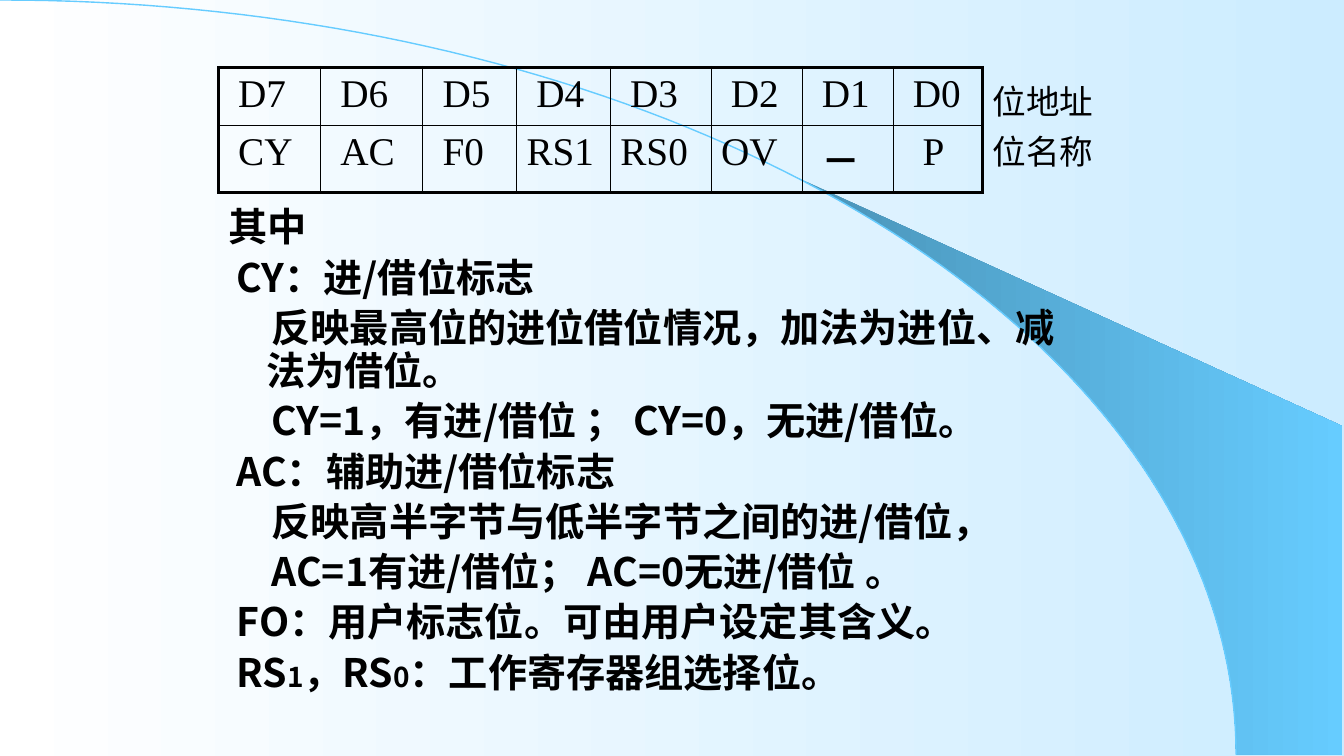
import math
from dataclasses import dataclass

from lxml import etree
from pptx import Presentation
from pptx.dml.color import RGBColor
from pptx.oxml.ns import qn
from pptx.util import Pt


@dataclass(frozen=True)
class Theme:
    ink: RGBColor = RGBColor(0x00, 0x00, 0x00)
    white: RGBColor = RGBColor(0xFF, 0xFF, 0xFF)
    pale: RGBColor = RGBColor(0xCC, 0xEC, 0xFF)
    sky: RGBColor = RGBColor(0x66, 0xCC, 0xFF)
    steel: RGBColor = RGBColor(0x49, 0x92, 0xB6)
    serif: str = "Times New Roman"
    sans: str = "Noto Sans CJK SC"
    body: float = 28
    label: float = 24
    subscript: float = 20
    thin: float = 1
    thick: float = 2.25


THEME = Theme()
SLIDE_W, SLIDE_H = 960, 540

COLUMN_WIDTHS = (73, 73, 67, 67, 72, 65, 65, 64)
ROW_HEIGHTS = (41.5, 48)
SPACE = 7  # one leading indent step inside a table cell
# Each cell: text, number of indent steps
REGISTER_BITS = (
    [(f"D{bit}", 1) for bit in range(7, -1, -1)],
    [("CY", 1), ("AC", 1), ("F0", 1), ("RS1", 0), ("RS0", 0), ("OV", 0), ("－", 1), ("P", 2)],
)
ROW_LABELS = ("位地址", "位名称")

# First-line offset of each text level, and the left edge of wrapped lines
HANGING = 27
HEADING, FLAG, DETAIL = 0, 6, 31
FLAG_NOTES = (
    (HEADING, ["其中"]),
    (FLAG, ["CY：进/借位标志"]),
    (DETAIL, ["反映最高位的进位借位情况，加法为进位、减法为借位。"]),
    (DETAIL, ["CY=1，有进/借位 ； CY=0，无进/借位。"]),
    (FLAG, ["AC：辅助进/借位标志"]),
    (DETAIL, ["反映高半字节与低半字节之间的进/借位，"]),
    (DETAIL, ["AC=1有进/借位； AC=0无进/借位 。"]),
    (FLAG, ["FO：用户标志位。可由用户设定其含义。"]),
    (FLAG, ["RS", "1", "，RS", "0", "：工作寄存器组选择位。"]),
)


def style_run(run, size, latin, bold=False):
    run.font.size = Pt(size)
    run.font.bold = bold
    run.font.color.rgb = THEME.ink
    run.font.name = latin
    east_asian = etree.SubElement(run.font._element, qn("a:ea"))
    east_asian.set("typeface", THEME.sans)


def fill_gradient(fill, start, end):
    fill.gradient()
    fill.gradient_angle = 0
    for stop, color in zip(fill.gradient_stops, (start, end)):
        stop.color.rgb = color


def add_textbox(slide, left, top, width, height):
    frame = slide.shapes.add_textbox(Pt(left), Pt(top), Pt(width), Pt(height)).text_frame
    frame.word_wrap = True
    return frame


def draw_outline(slide, points, close):
    points = [(Pt(x), Pt(y)) for x, y in points]
    builder = slide.shapes.build_freeform(*points[0], scale=1.0)
    builder.add_line_segments(points[1:], close=close)
    outline = builder.convert_to_shape()
    outline.shadow.inherit = False
    return outline


def add_backdrop(slide, left, top, width, height):
    """Pale gradient, a quarter-ellipse line and the ribbon that follows it."""
    fill_gradient(slide.background.fill, THEME.white, THEME.pale)
    radius_x, radius_y = width - 77, height - 1

    def arc(start, steps):
        angles = [start + (math.pi / 2 - start) * i / steps for i in range(steps + 1)]
        return [(left + radius_x * math.sin(a), top + radius_y * (1 - math.cos(a)))
                for a in angles]

    # Ribbon
    right, bottom = left + width - 1, top + height - 1
    ribbon = draw_outline(slide, arc(0.696, 30) + [(right, bottom), (right, top + 304.5)], True)
    fill_gradient(ribbon.fill, THEME.steel, THEME.sky)
    ribbon.line.fill.background()

    # Arc line
    curve = draw_outline(slide, arc(0, 80), False)
    curve.fill.background()
    curve.line.color.rgb = THEME.sky
    curve.line.width = Pt(THEME.thin)


def add_cell_borders(cell, widths):
    properties = cell._tc.get_or_add_tcPr()
    for side, width in zip("LRTB", widths):
        border = etree.SubElement(properties, qn(f"a:ln{side}"), w=str(Pt(width)))
        solid = etree.SubElement(border, qn("a:solidFill"))
        etree.SubElement(solid, qn("a:srgbClr"), val=str(THEME.ink))


def add_register_table(slide, left, top, width, height):
    """Bit addresses above bit names, inside a heavy frame."""
    rows, columns = len(ROW_HEIGHTS), len(COLUMN_WIDTHS)
    register = slide.shapes.add_table(
        rows, columns, Pt(left), Pt(top), Pt(width), Pt(height)).table
    register.first_row = register.horz_banding = False
    for column, column_width in zip(register.columns, COLUMN_WIDTHS):
        column.width = Pt(column_width)
    for row, row_height in zip(register.rows, ROW_HEIGHTS):
        row.height = Pt(row_height)

    for r, bits in enumerate(REGISTER_BITS):
        for c, (bit, steps) in enumerate(bits):
            cell = register.cell(r, c)
            cell.text = bit
            cell.margin_left = Pt(7.2 + SPACE * steps)
            cell.margin_right = 0
            style_run(cell.text_frame.paragraphs[0].runs[0], THEME.body, THEME.serif, bit == "－")
            on_frame = (c == 0, c == columns - 1, r == 0, r == rows - 1)
            add_cell_borders(cell, [THEME.thick if edge else THEME.thin for edge in on_frame])
            cell.fill.background()


def add_row_labels(slide, left, top, width, height):
    pitch = height / len(ROW_LABELS)
    for i, label in enumerate(ROW_LABELS):
        frame = add_textbox(slide, left, top + i * pitch, width, pitch)
        frame.text = label
        style_run(frame.paragraphs[0].runs[0], THEME.label, THEME.serif)


def add_flag_notes(slide, left, top, width, height):
    """Explanation of each flag; bare digits are set smaller."""
    frame = add_textbox(slide, left, top, width, height)
    for i, (offset, pieces) in enumerate(FLAG_NOTES):
        note = frame.add_paragraph() if i else frame.paragraphs[0]
        note.line_spacing = Pt(30.8)
        note.space_before = Pt(5.1 if i else 0)
        properties = note._p.get_or_add_pPr()
        properties.set("marL", str(Pt(HANGING)))
        properties.set("indent", str(Pt(offset - HANGING)))
        for piece in pieces:
            run = note.add_run()
            run.text = piece
            size = THEME.subscript if piece.isdigit() else THEME.body
            style_run(run, size, THEME.sans, True)


def main():
    deck = Presentation()
    deck.slide_width, deck.slide_height = Pt(SLIDE_W), Pt(SLIDE_H)
    slide = deck.slides.add_slide(deck.slide_layouts[6])
    table_left, table_top, table_width = 156, 48, sum(COLUMN_WIDTHS)

    add_backdrop(slide, 0, 0, SLIDE_W, SLIDE_H)
    add_flag_notes(slide, table_left, 144, 626, 390)
    add_register_table(slide, table_left, table_top, table_width, sum(ROW_HEIGHTS))
    add_row_labels(slide, table_left + table_width, table_top + 6, 97, 72)
    deck.save("out.pptx")


if __name__ == "__main__":
    main()
